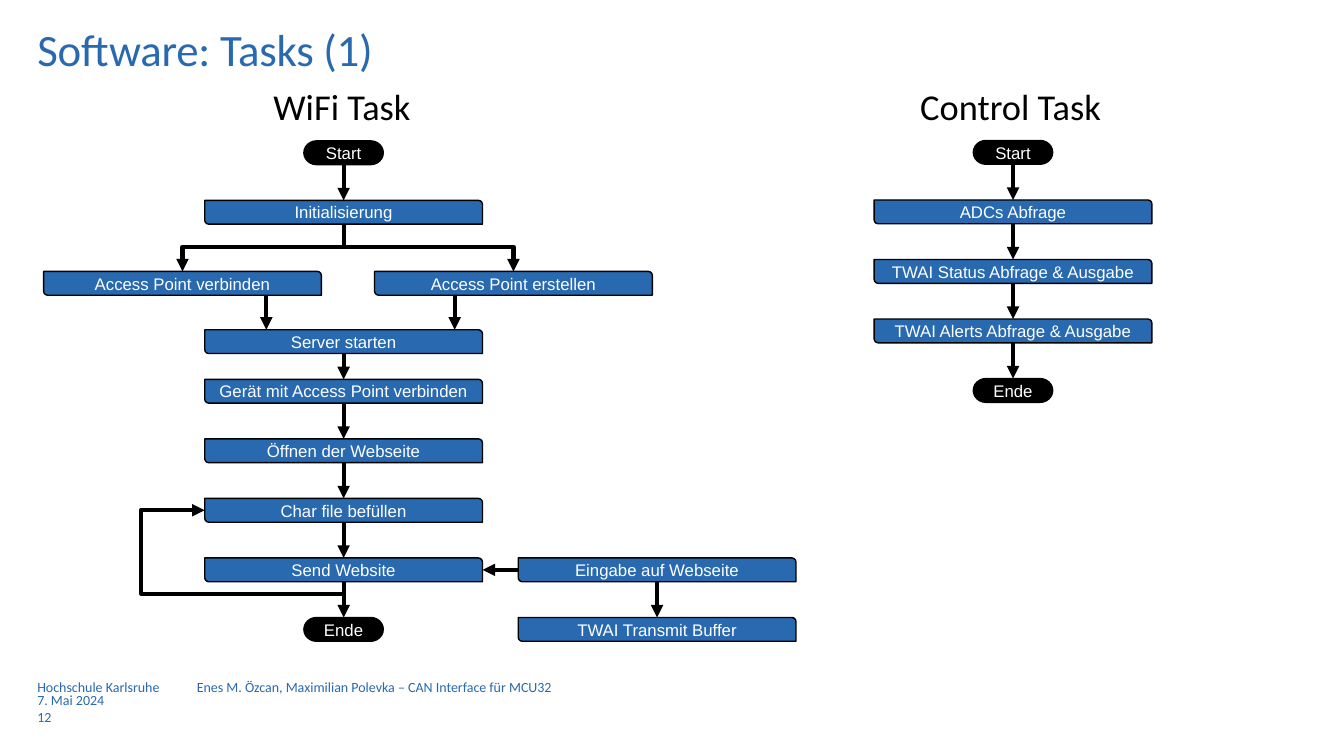
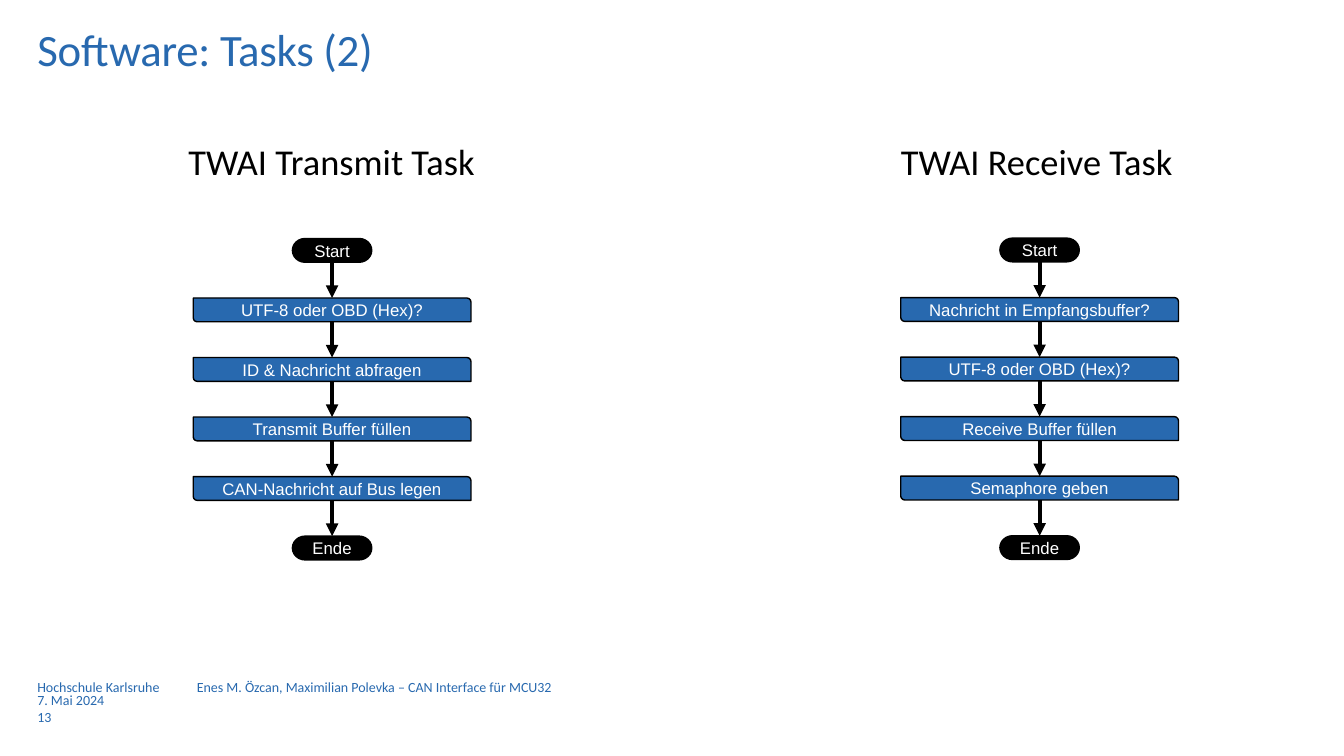
from lxml import etree
from pptx import Presentation
from pptx.dml.color import RGBColor
from pptx.enum import shapes, text
from pptx.oxml.ns import qn
from pptx.util import Cm, Pt

BLUE, BLACK, WHITE = "2869AF", "000000", "FFFFFF"
MARGIN = 0.94
BOX_W, END_W, NODE_H = 7.0, 2.0, 0.6
PITCH = 1.5
FOOTER_TAB = 4.02
# connection sites by side: the rounded box numbers them differently from the terminator
BOX_SITES = {"right": 0, "bottom": 1, "left": 2, "top": 3}
END_SITES = {"top": 0, "left": 1, "bottom": 2, "right": 3}


def rgb(value):
    return RGBColor.from_string(value)


def write(tf, content, size=12, color=BLACK, font="Calibri", align="LEFT",
          anchor="TOP", wrap=True, leading=None, tab=None):
    """Set the single paragraph of a text frame without insets."""
    tf.margin_left = tf.margin_right = tf.margin_top = tf.margin_bottom = 0
    tf.word_wrap = wrap
    tf.auto_size = text.MSO_AUTO_SIZE.NONE
    tf.vertical_anchor = getattr(text.MSO_ANCHOR, anchor)
    p = tf.paragraphs[0]
    p.alignment = getattr(text.PP_ALIGN, align)
    if leading:
        p.line_spacing = Pt(leading)
    if tab:
        tabs = etree.SubElement(p._p.get_or_add_pPr(), qn("a:tabLst"))
        etree.SubElement(tabs, qn("a:tab"), pos=str(Cm(tab)), algn="l")
    r = p.add_run()
    r.text = content
    r.font.size, r.font.name = Pt(size), font
    r.font.color.rgb = rgb(color)
    return r


def textbox(s, content, x, y, w, h, **fmt):
    box = s.shapes.add_textbox(Cm(x), Cm(y), Cm(w), Cm(h))
    write(box.text_frame, content, **fmt)


def heading(s, content, cx, y):
    textbox(s, content, cx - 4, y, 8, 1.19, size=26, align="CENTER")


def new_slide(prs, title, number):
    """Add a slide with the title and the three footer lines."""
    s = prs.slides.add_slide(prs.slide_layouts[5])
    sp = s.shapes.title
    sp.left, sp.top, sp.width, sp.height = Cm(MARGIN), Cm(0.84), Cm(30.3), Cm(1.2)
    r = write(sp.text_frame, title, size=32, color=BLUE, leading=30)
    r._r.get_or_add_rPr().set("spc", "-20")
    footer = {"size": 10, "color": BLUE}
    textbox(s, "Hochschule Karlsruhe\tEnes M. Özcan, Maximilian Polevka – CAN Interface für MCU32",
            MARGIN, 17.09, 30.3, 0.38, tab=FOOTER_TAB, **footer)
    textbox(s, "7. Mai 2024", MARGIN, 17.42, 7.62, 0.38, **footer)
    textbox(s, number, MARGIN, 17.86, 7.62, 0.28, **footer)
    return s


def node(s, label, cx, cy):
    """Draw a step, or a terminator for Start and Ende, around its centre."""
    is_end = label in ("Start", "Ende")
    w = END_W if is_end else BOX_W
    kind = (shapes.MSO_SHAPE.FLOWCHART_TERMINATOR if is_end
            else shapes.MSO_SHAPE.ROUND_2_DIAG_RECTANGLE)
    sp = s.shapes.add_shape(kind, Cm(cx - w / 2), Cm(cy - NODE_H / 2), Cm(w), Cm(NODE_H))
    if not is_end:
        sp.adjustments[0], sp.adjustments[1] = 0, 0.17
    sp.shadow.inherit = False
    sp.fill.solid()
    sp.fill.fore_color.rgb = rgb(BLACK if is_end else BLUE)
    sp.line.color.rgb = rgb(BLACK)
    sp.line.width = Pt(1)
    write(sp.text_frame, label, color=WHITE, font="Arial", align="CENTER", anchor="MIDDLE")
    return sp


def line(s, start, end, kind="STRAIGHT", head=True):
    con = s.shapes.add_connector(getattr(shapes.MSO_CONNECTOR, kind),
                                 *(Cm(v) for v in (*start, *end)))
    con.line.color.rgb = rgb(BLACK)
    con.line.width = Pt(3)
    props = con._element.spPr
    if head:
        etree.SubElement(props.find(qn("a:ln")), qn("a:tailEnd"), type="triangle")
    etree.SubElement(props, qn("a:effectLst"))
    return con


def corner(s, start, end):
    """Arrow that runs sideways and then down."""
    con = line(s, start, end, "ELBOW")
    con._element.spPr.find(qn("a:prstGeom")).set("prst", "bentConnector2")


def loop_back(s, start, end, x):
    """Arrow that returns to an earlier step by way of the column x."""
    con = line(s, start, end, "ELBOW")
    geom = con._element.spPr.find(qn("a:prstGeom"))
    av = geom.find(qn("a:avLst"))
    if av is None:
        av = etree.SubElement(geom, qn("a:avLst"))
    bend = round((start[0] - x) / (start[0] - end[0]) * 100000)
    etree.SubElement(av, qn("a:gd"), name="adj1", fmla=f"val {bend}")


def side_point(sp, side):
    x = {"left": 0, "right": sp.width}.get(side, sp.width // 2)
    y = {"top": 0, "bottom": sp.height}.get(side, sp.height // 2)
    return sp.left + x, sp.top + y


def site(sp, side):
    is_end = sp.auto_shape_type == shapes.MSO_SHAPE.FLOWCHART_TERMINATOR
    return (END_SITES if is_end else BOX_SITES)[side]


def join(s, a, b, sides=("bottom", "top")):
    """Arrow glued to the middle of a side of each node."""
    con = line(s, (0, 0), (1, 1))
    con.begin_connect(a, site(a, sides[0]))
    con.end_connect(b, site(b, sides[1]))
    con.begin_x, con.begin_y = side_point(a, sides[0])
    con.end_x, con.end_y = side_point(b, sides[1])


def chain(s, cx, top, labels):
    """Draw a column of joined nodes at equal steps."""
    nodes = [node(s, label, cx, top + i * PITCH) for i, label in enumerate(labels)]
    for a, b in zip(nodes, nodes[1:]):
        join(s, a, b)
    return nodes


def wifi_task(s):
    cx, first, branch, server_y, device_y = 8.66, 3.85, 7.14, 8.61, 9.86
    half = NODE_H / 2
    heading(s, "WiFi Task", 8.62, 2.11)
    chain(s, cx, first, ["Start", "Initialisierung"])
    split = 6.22
    line(s, (cx, first + PITCH + half), (cx, split + 0.05), head=False)
    for label, x, exit_x in (("Access Point verbinden", 4.6, 6.71),
                             ("Access Point erstellen", 12.94, 11.46)):
        node(s, label, x, branch)
        corner(s, (cx, split), (x, branch - half))
        line(s, (exit_x, branch + half), (exit_x, server_y - half))
    server = node(s, "Server starten", cx, server_y)
    steps = chain(s, cx, device_y, ["Gerät mit Access Point verbinden", "Öffnen der Webseite",
                                    "Char file befüllen", "Send Website", "Ende"])
    join(s, server, steps[0])
    fill_y, send_y = device_y + 2 * PITCH, device_y + 3 * PITCH
    loop_back(s, (cx, send_y + 2 * half), (cx - BOX_W / 2, fill_y), 3.56)
    inputs = chain(s, 16.56, send_y, ["Eingabe auf Webseite", "TWAI Transmit Buffer"])
    join(s, inputs[0], steps[3], ("left", "right"))


def main():
    prs = Presentation()
    prs.slide_width, prs.slide_height = Cm(33.87), Cm(19.05)

    s = new_slide(prs, "Software: Tasks (1)", "12")
    wifi_task(s)
    heading(s, "Control Task", 25.47, 2.11)
    chain(s, 25.53, 3.84, ["Start", "ADCs Abfrage", "TWAI Status Abfrage & Ausgabe",
                           "TWAI Alerts Abfrage & Ausgabe", "Ende"])

    s = new_slide(prs, "Software: Tasks (2)", "13")
    heading(s, "TWAI Transmit Task", 8.36, 3.5)
    chain(s, 8.37, 6.31, ["Start", "UTF-8 oder OBD (Hex)?", "ID & Nachricht abfragen",
                          "Transmit Buffer füllen", "CAN-Nachricht auf Bus legen", "Ende"])
    heading(s, "TWAI Receive Task", 26.13, 3.5)
    chain(s, 26.2, 6.3, ["Start", "Nachricht in Empfangsbuffer?", "UTF-8 oder OBD (Hex)?",
                         "Receive Buffer füllen", "Semaphore geben", "Ende"])
    prs.save("out.pptx")


if __name__ == "__main__":
    main()
